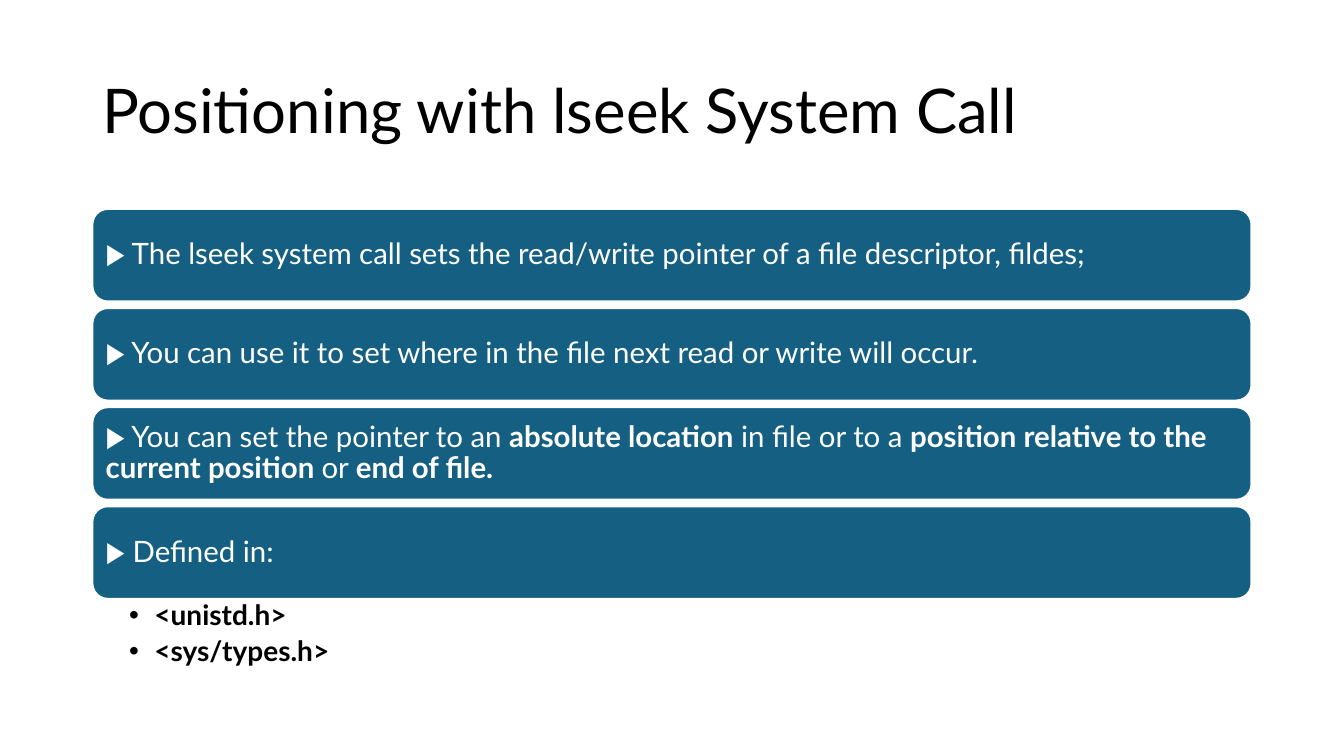
import dataclasses

import pptx
import pptx.dml.color
import pptx.enum.shapes
import pptx.enum.text
import pptx.oxml
import pptx.oxml.ns
import pptx.util

Pt = pptx.util.Pt
COLORS = {"bar": "156082", "white": "FFFFFF", "black": "000000"}
FONT = "Lato"
LEFT, WIDTH = 66, 828
BAR_TOP, BAR_HEIGHT, BAR_PITCH = 149.2, 66.2, 70.8
HEADERS = ["<unistd.h>", "<sys/types.h>"]


@dataclasses.dataclass(frozen=True)
class Span:
    text: str
    bold: bool = False


STATEMENTS = [
    [Span("▶ The lseek system call sets the read/write pointer of a file descriptor, fildes;")],
    [Span("▶ You can use it to set where in the file next read or write will occur.")],
    [
        Span("▶ You can set the pointer to an "),
        Span("absolute location", True),
        Span(" in file or to a "),
        Span("position relative to the current position ", True),
        Span("or "),
        Span("end of file.", True),
    ],
    [Span("▶ Defined in:")],
]


def rgb(name: str) -> pptx.dml.color.RGBColor:
    return pptx.dml.color.RGBColor.from_string(COLORS[name])


def format_paragraph(para, size: float, color: str, space_after: float = 0) -> None:
    para.alignment = pptx.enum.text.PP_ALIGN.LEFT
    para.line_spacing = 0.9
    para.space_after = Pt(space_after)
    for run in para.runs:
        run.font.name = FONT
        run.font.size = Pt(size)
        run.font.color.rgb = rgb(color)


def set_margins(frame, left: float, top: float, right: float, bottom: float) -> None:
    frame.margin_left, frame.margin_top = Pt(left), Pt(top)
    frame.margin_right, frame.margin_bottom = Pt(right), Pt(bottom)


def add_title(page, text: str) -> None:
    box = page.shapes.add_textbox(Pt(LEFT), Pt(28.8), Pt(WIDTH), Pt(104.4))
    frame = box.text_frame
    frame.word_wrap = True
    frame.vertical_anchor = pptx.enum.text.MSO_ANCHOR.MIDDLE
    frame.text = text
    format_paragraph(frame.paragraphs[0], 44, "black")


def add_bar(page, top: float, spans: list[Span]) -> None:
    bar = page.shapes.add_shape(
        pptx.enum.shapes.MSO_SHAPE.ROUNDED_RECTANGLE,
        Pt(LEFT), Pt(top), Pt(WIDTH), Pt(BAR_HEIGHT),
    )
    bar.shadow.inherit = False
    bar.fill.solid()
    bar.fill.fore_color.rgb = rgb("bar")
    bar.line.color.rgb = rgb("white")
    bar.line.width = Pt(1.5)
    frame = bar.text_frame
    frame.word_wrap = True
    frame.vertical_anchor = pptx.enum.text.MSO_ANCHOR.MIDDLE
    set_margins(frame, 6.3, 6.3, 6.3, 6.3)
    para = frame.paragraphs[0]
    for span in spans:
        run = para.add_run()
        run.text = span.text
        run.font.bold = span.bold
    format_paragraph(para, 21, "white", 7.35)


def add_bullet(para) -> None:
    properties = para._p.get_or_add_pPr()
    properties.set("marL", str(Pt(18)))
    properties.set("indent", str(-Pt(18)))
    namespace = pptx.oxml.ns.nsdecls("a")
    properties.append(pptx.oxml.parse_xml(f'<a:buFont {namespace} typeface="Arial"/>'))
    properties.append(pptx.oxml.parse_xml(f'<a:buChar {namespace} char="•"/>'))


def add_header_list(page, top: float) -> None:
    box = page.shapes.add_textbox(Pt(LEFT), Pt(top), Pt(WIDTH), Pt(53.3))
    frame = box.text_frame
    frame.word_wrap = True
    set_margins(frame, 26.3, 2, 11.5, 2)
    frame.text = "\n".join(HEADERS)
    for para in frame.paragraphs:
        para.level = 1
        format_paragraph(para, 20, "black", 4)
        para.runs[0].font.bold = True
        add_bullet(para)


def main() -> None:
    deck = pptx.Presentation()
    deck.slide_width, deck.slide_height = Pt(960), Pt(540)
    page = deck.slides.add_slide(deck.slide_layouts[6])
    add_title(page, "Positioning with lseek System Call")
    for index, spans in enumerate(STATEMENTS):
        add_bar(page, BAR_TOP + index * BAR_PITCH, spans)
    add_header_list(page, BAR_TOP + (len(STATEMENTS) - 1) * BAR_PITCH + BAR_HEIGHT)
    deck.save("out.pptx")


if __name__ == "__main__":
    main()
